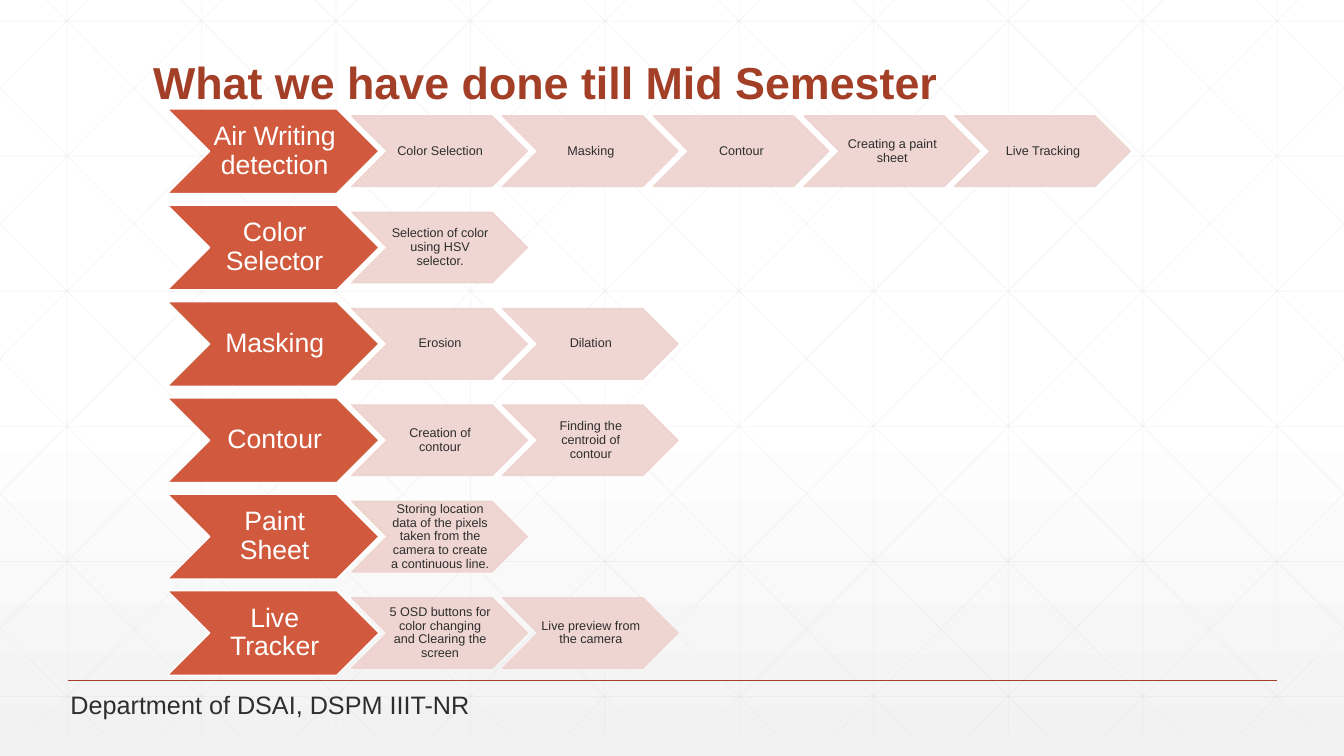
from copy import deepcopy

from pptx import Presentation
from pptx.dml.color import RGBColor
from pptx.enum import shapes, text
from pptx.oxml.ns import qn
from pptx.oxml.xmlchemy import OxmlElement
from pptx.util import Inches, Pt

COLORS = {
    "white": "FFFFFF",
    "fade": "F2F2F2",
    "grid": "D9D9D9",
    "brick": "A43F27",
    "stage": "D15A3E",
    "step": "EED2CE",
    "ink": "2D2E2D",
}
FONT = "Arial"
SLIDE_W, SLIDE_H = 13.33, 7.5

GRID_PITCH = 4 / 3
GRID_TOP, GRID_BOTTOM = -0.21, 7.29
DIAGONAL_RUN = 7.46

STAGE_SIZE = (2.1, 0.84)
STEP_SIZE = (1.74, 0.7)
STAGE_LEFT, FIRST_STAGE_TOP = 1.66, 1.08
ROW_PITCH = 4.78 / 5
FIRST_STEP_LEFT = 3.49
STEP_PITCH = 5.98 / 4

STAGES = [
    ("Air Writing detection",
     ["Color Selection", "Masking", "Contour", "Creating a paint sheet", "Live Tracking"]),
    ("Color Selector", ["Selection of color using HSV selector."]),
    ("Masking", ["Erosion", "Dilation"]),
    ("Contour", ["Creation of contour", "Finding the centroid of contour"]),
    ("Paint Sheet",
     ["Storing location data of the pixels taken from the camera to create a continuous line."]),
    ("Live Tracker",
     ["5 OSD buttons for color changing and Clearing the screen",
      "Live preview from the camera"]),
]


def rgb(name):
    return RGBColor.from_string(COLORS[name])


def set_opacity(fill_parent, percent):
    """Make every solid colour below the element partly transparent."""
    for color in fill_parent.iter(qn("a:srgbClr")):
        alpha = OxmlElement("a:alpha")
        alpha.set("val", str(percent * 1000))
        color.append(alpha)


def paint_background(slide):
    fill = slide.background.fill
    fill.gradient()
    fill.gradient_angle = 270
    stop_list = next(slide.element.iter(qn("a:gsLst")))
    stop_list.insert(1, deepcopy(stop_list[0]))
    stops = [(0, "white"), (0.53, "white"), (1, "fade")]
    for stop, (position, color) in zip(fill.gradient_stops, stops):
        stop.position = position
        stop.color.rgb = rgb(color)


def add_line(container, start, end, color, width, opacity=100):
    line = container.add_connector(
        shapes.MSO_CONNECTOR.STRAIGHT, *[Inches(v) for v in (*start, *end)])
    line.line.color.rgb = rgb(color)
    line.line.width = Pt(width)
    properties = line._element.spPr
    if opacity < 100:
        set_opacity(properties, opacity)
    properties.append(OxmlElement("a:effectLst"))


def clipped_diagonal(top_x):
    """Ends of a falling diagonal, cut at the slide's left and right edges."""
    slope = (GRID_BOTTOM - GRID_TOP) / DIAGONAL_RUN
    ends = [max(top_x, 0), min(top_x + DIAGONAL_RUN, SLIDE_W)]
    return [(x, GRID_TOP + (x - top_x) * slope) for x in ends]


def add_grid(slide):
    lines = []
    for i in range(10):
        x = (i + 0.5) * GRID_PITCH
        lines.append([(x, GRID_TOP), (x, GRID_BOTTOM)])
    for i in range(6):
        y = 0.21 + 1.34 * i
        lines.append([(0, y), (SLIDE_W, y)])
    falling = [clipped_diagonal(0.25 + i * GRID_PITCH) for i in range(-5, 10)]
    rising = [[(SLIDE_W - x, y) for x, y in ends] for ends in falling]
    grid = slide.shapes.add_group_shape().shapes
    for start, end in lines + falling + rising:
        add_line(grid, start, end, "grid", 0.5, opacity=25)


def write(frame, words, size, color, bold=False):
    frame.word_wrap = True
    frame.text = words
    font = frame.paragraphs[0].runs[0].font
    font.name, font.size, font.bold = FONT, Pt(size), bold
    font.color.rgb = rgb(color)


def add_text(slide, box, words, size, color, bold=False):
    frame = slide.shapes.add_textbox(*[Inches(v) for v in box]).text_frame
    write(frame, words, size, color, bold)
    return frame


def add_chevron(slide, left, top, size, words, fill, outline, font_size, ink,
                inset, opacity=100):
    chevron = slide.shapes.add_shape(
        shapes.MSO_SHAPE.CHEVRON, *[Inches(v) for v in (left, top, *size)])
    chevron.shadow.inherit = False
    chevron.fill.solid()
    chevron.fill.fore_color.rgb = rgb(fill)
    chevron.line.color.rgb = rgb(outline)
    chevron.line.width = Pt(1)
    if opacity < 100:
        set_opacity(chevron._element.spPr, opacity)
    frame = chevron.text_frame
    write(frame, words, font_size, ink)
    frame.vertical_anchor = text.MSO_ANCHOR.MIDDLE
    frame.margin_left, frame.margin_right = Inches(inset), 0
    frame.margin_top = frame.margin_bottom = Inches(0.01)
    frame.paragraphs[0].alignment = text.PP_ALIGN.CENTER
    frame.paragraphs[0].line_spacing = 0.9


def add_stage_row(slide, top, stage, steps):
    add_chevron(slide, STAGE_LEFT, top, STAGE_SIZE, stage,
                "stage", "white", 19, "white", 0.03)
    step_top = top + (STAGE_SIZE[1] - STEP_SIZE[1]) / 2
    for i, step in enumerate(steps):
        add_chevron(slide, FIRST_STEP_LEFT + i * STEP_PITCH, step_top, STEP_SIZE, step,
                    "step", "step", 9, "ink", 0.01, opacity=90)


def main():
    deck = Presentation()
    deck.slide_width, deck.slide_height = Inches(SLIDE_W), Inches(SLIDE_H)
    slide = deck.slides.add_slide(deck.slide_layouts[6])
    paint_background(slide)
    add_grid(slide)
    add_line(slide.shapes, (0.67, 6.75), (12.67, 6.75), "brick", 1)
    title = add_text(slide, (1.42, 0.55, 9.93, 1.25),
                     "What we have done till Mid Semester", 32, "brick", bold=True)
    title.paragraphs[0].line_spacing = 0.9
    for i, (stage, steps) in enumerate(STAGES):
        add_stage_row(slide, FIRST_STAGE_TOP + i * ROW_PITCH, stage, steps)
    add_text(slide, (0.6, 6.79, 9.31, 0.4), "Department of DSAI, DSPM IIIT-NR", 18, "ink")
    deck.save("out.pptx")


if __name__ == "__main__":
    main()
